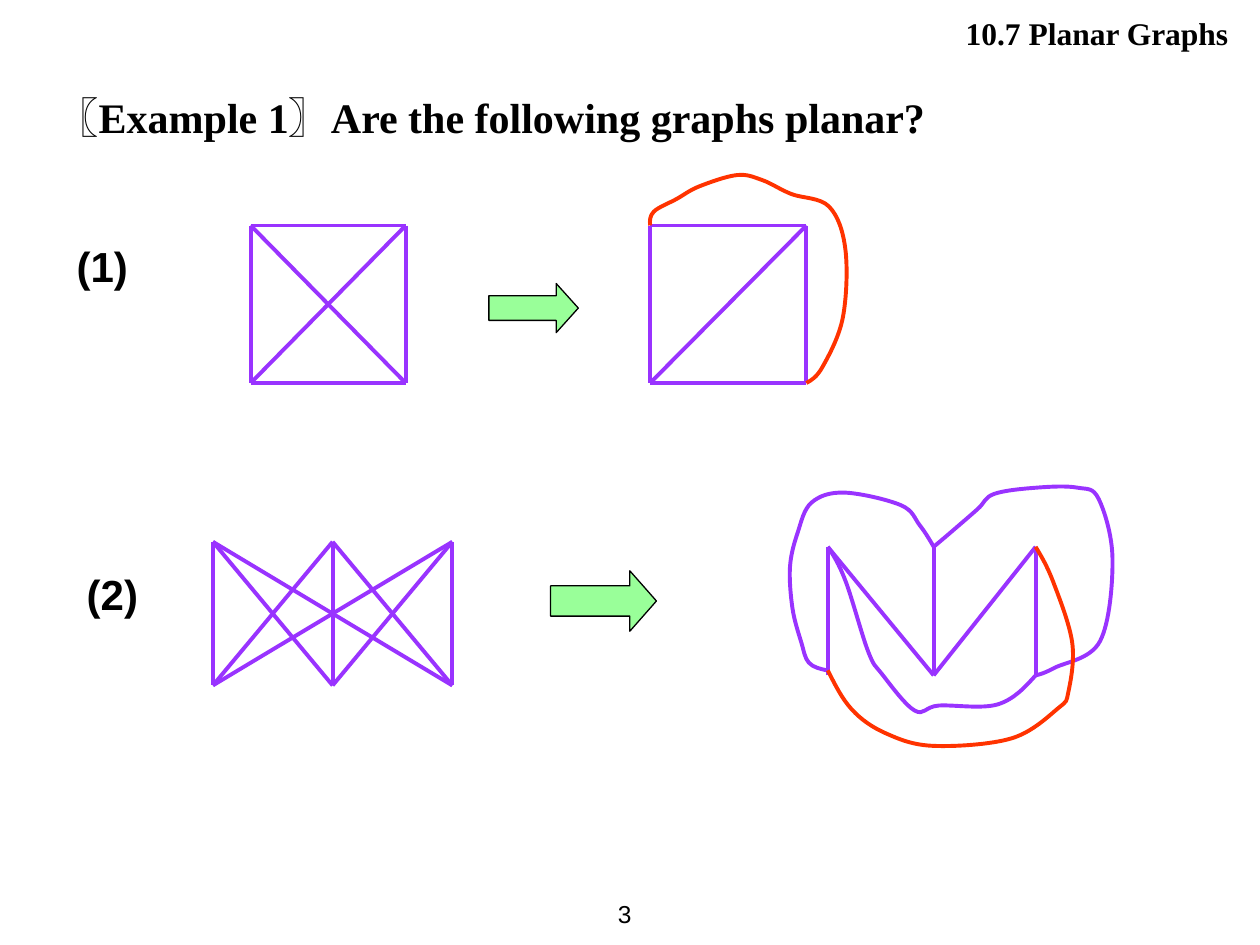
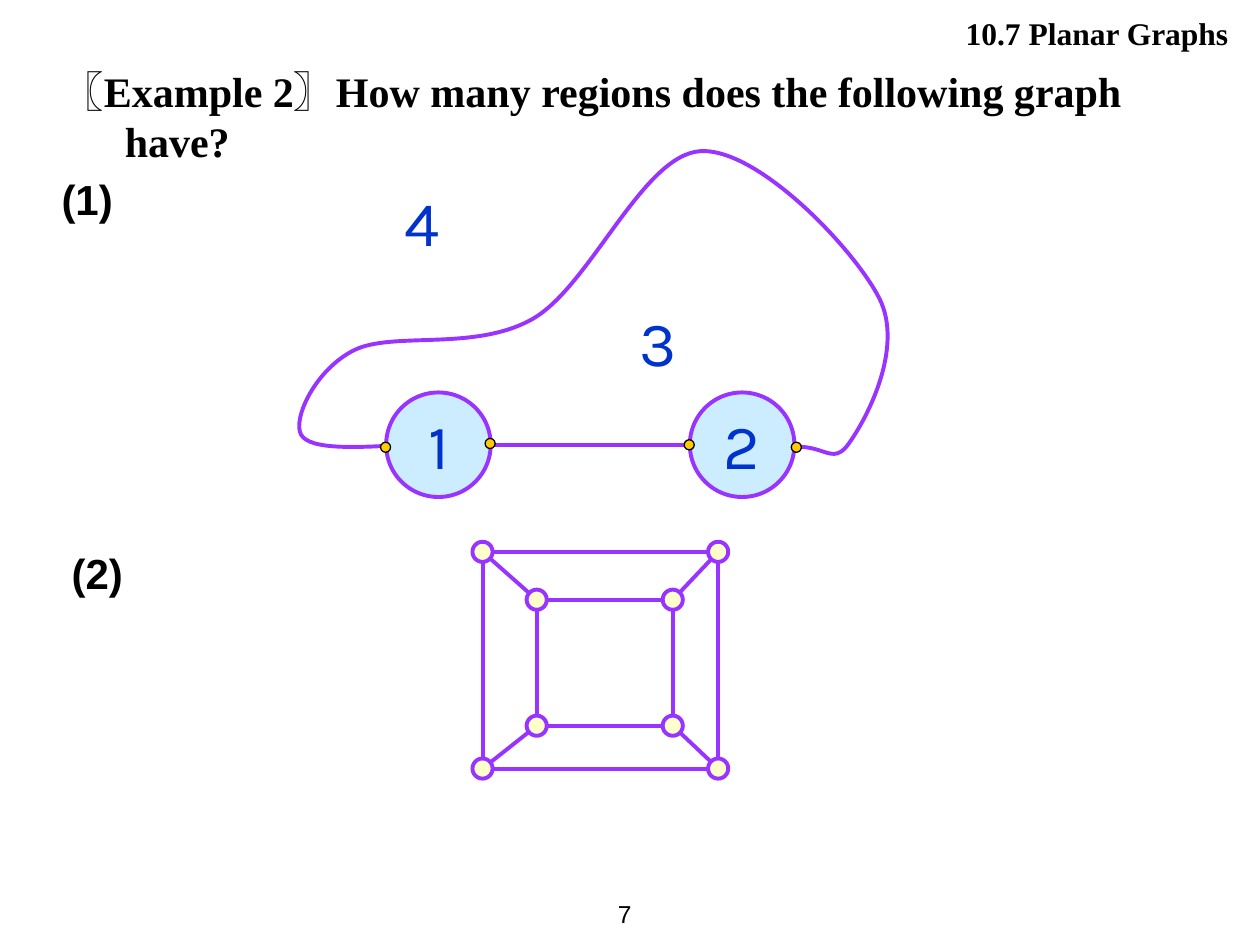
from dataclasses import dataclass
from itertools import combinations, pairwise, product
from typing import Any

from lxml import etree
from pptx import Presentation
from pptx.dml.color import RGBColor
from pptx.enum.shapes import MSO_CONNECTOR, MSO_SHAPE
from pptx.enum.text import MSO_ANCHOR, MSO_AUTO_SIZE, PP_ALIGN
from pptx.oxml.ns import qn
from pptx.util import Inches, Pt

STRAIGHT = MSO_CONNECTOR.STRAIGHT
OVAL, RIGHT_ARROW = MSO_SHAPE.OVAL, MSO_SHAPE.RIGHT_ARROW
TOP, MIDDLE = MSO_ANCHOR.TOP, MSO_ANCHOR.MIDDLE
LEFT, CENTER, RIGHT = PP_ALIGN.LEFT, PP_ALIGN.CENTER, PP_ALIGN.RIGHT
NO_AUTOFIT = MSO_AUTO_SIZE.NONE

BLACK = RGBColor(0x00, 0x00, 0x00)
EDGE_PURPLE = RGBColor(0x99, 0x33, 0xFF)
REROUTED_RED = RGBColor(0xFF, 0x33, 0x00)
ARROW_GREEN = RGBColor(0x99, 0xFF, 0x99)
WHEEL_BLUE = RGBColor(0xCC, 0xEC, 0xFF)
REGION_BLUE = RGBColor(0x00, 0x33, 0xCC)
JOINT_GOLD = RGBColor(0xFF, 0xCC, 0x00)
NODE_CREAM = RGBColor(0xFF, 0xFF, 0xCC)

EDGE_WIDTH, OUTLINE_WIDTH = 2.25, 0.75
SERIF, SANS, REGION_FONT = "Times New Roman", "Arial", "Karla"

HEADING_FONT = dict(name=SERIF, size=Pt(24), bold=True)
BRACKET_FONT = dict(HEADING_FONT, name=SANS)
SECTION_FONT = dict(name=SERIF, size=Pt(18), bold=True)
NUMBER_FONT = dict(name=SANS, size=Pt(14), bold=False)
REGION_NUMBER_FONT = dict(name=REGION_FONT, size=Pt(36), bold=False)

Point = tuple[float, float]


@dataclass(frozen=True)
class Box:
    left: float
    top: float
    width: float
    height: float

    def lengths(self) -> list[int]:
        return [Inches(v) for v in (self.left, self.top, self.width, self.height)]


@dataclass(frozen=True)
class Curve:
    """A hand-drawn edge that runs smoothly through its waypoints."""
    waypoints: list[Point]
    color: RGBColor = EDGE_PURPLE
    end_handle: Point | None = None


@dataclass(frozen=True)
class Disc:
    center: Point
    diameter: float
    fill: RGBColor
    line: RGBColor = EDGE_PURPLE
    line_width: float = EDGE_WIDTH
    label: str = ""


@dataclass(frozen=True)
class Label:
    text: str
    box: Box
    font: dict[str, Any]
    color: RGBColor = BLACK
    align: Any = LEFT
    anchor: Any = TOP
    right_inset: float = 0.1


def midpoint(a: Point, b: Point) -> Point:
    return (a[0] + b[0]) / 2, (a[1] + b[1]) / 2


def bezier_points(curve: Curve) -> list[Point]:
    """Give each inner waypoint two handles along the line joining its neighbours.

    A handle is one sixth of that line long (a Catmull-Rom spline). An end of the
    curve has its handle halfway to the nearest handle, unless one is given.
    """
    ways = curve.waypoints
    handles = []
    for before, (x, y), after in zip(ways, ways[1:], ways[2:]):
        dx, dy = (after[0] - before[0]) / 6, (after[1] - before[1]) / 6
        handles.append(((x - dx, y - dy), (x + dx, y + dy)))
    points = [ways[0], midpoint(ways[0], handles[0][0])]
    for waypoint, (arriving, leaving) in zip(ways[1:], handles):
        points += [arriving, waypoint, leaving]
    last_handle = curve.end_handle or midpoint(handles[-1][1], ways[-1])
    return points + [last_handle, ways[-1]]


def write(paragraph, text: str, font: dict[str, Any], color: RGBColor) -> None:
    run = paragraph.add_run()
    run.text = text
    for attribute, value in font.items():
        setattr(run.font, attribute, value)
    run.font.color.rgb = color


def add_label(slide, label: Label) -> None:
    frame = slide.shapes.add_textbox(*label.box.lengths()).text_frame
    settings = dict(word_wrap=True, vertical_anchor=label.anchor,
                    margin_right=Inches(label.right_inset))
    for attribute, value in settings.items():
        setattr(frame, attribute, value)
    frame.paragraphs[0].alignment = label.align
    write(frame.paragraphs[0], label.text, label.font, label.color)


def add_edge(slide, start: Point, end: Point) -> None:
    edge = slide.shapes.add_connector(STRAIGHT, *(Inches(v) for v in start + end))
    edge.line.color.rgb = EDGE_PURPLE
    edge.line.width = Pt(EDGE_WIDTH)
    etree.SubElement(edge.element.spPr, qn("a:effectLst"))


def add_curve(slide, curve: Curve) -> None:
    """Draw the control polygon, then turn each three of its sides into one Bézier."""
    points = [(Inches(x), Inches(y)) for x, y in bezier_points(curve)]
    builder = slide.shapes.build_freeform(*points[0])
    builder.add_line_segments(points[1:], close=False)
    shape = builder.convert_to_shape()
    sides = list(shape.element.iter(qn("a:lnTo")))
    for trio in zip(sides[::3], sides[1::3], sides[2::3]):
        bezier = etree.Element(qn("a:cubicBezTo"))
        trio[0].addprevious(bezier)
        for side in trio:
            bezier.append(side[0])
            side.getparent().remove(side)
    shape.fill.background()
    shape.line.color.rgb = curve.color
    shape.line.width = Pt(EDGE_WIDTH)
    shape.shadow.inherit = False


def add_filled(slide, kind, box: Box, fill: RGBColor, line: RGBColor, width: float):
    shape = slide.shapes.add_shape(kind, *box.lengths())
    shape.shadow.inherit = False
    shape.fill.solid()
    shape.fill.fore_color.rgb = fill
    shape.line.color.rgb = line
    shape.line.width = Pt(width)
    return shape


def add_disc(slide, disc: Disc) -> None:
    x, y = (v - disc.diameter / 2 for v in disc.center)
    box = Box(x, y, disc.diameter, disc.diameter)
    shape = add_filled(slide, OVAL, box, disc.fill, disc.line, disc.line_width)
    if disc.label:
        frame = shape.text_frame
        frame.word_wrap = False
        frame.vertical_anchor = MIDDLE
        frame.paragraphs[0].alignment = CENTER
        write(frame.paragraphs[0], disc.label, REGION_NUMBER_FONT, REGION_BLUE)


def add_arrow(slide, box: Box, head: float) -> None:
    arrow = add_filled(slide, RIGHT_ARROW, box, ARROW_GREEN, BLACK, OUTLINE_WIDTH)
    arrow.adjustments[1] = head


def add_example_slide(deck, heading: str, heading_box: Box, number: str,
                      parts: tuple[Point, Point]):
    """Add a slide with its heading, section name, number and (1), (2) part labels."""
    slide = deck.slides.add_slide(deck.slide_layouts[5])
    title = slide.shapes.title
    title.left, title.top, title.width, title.height = heading_box.lengths()
    frame = title.text_frame
    settings = dict(word_wrap=True, auto_size=NO_AUTOFIT, vertical_anchor=TOP)
    for attribute, value in settings.items():
        setattr(frame, attribute, value)
    paragraph = frame.paragraphs[0]
    paragraph.alignment = LEFT
    properties = paragraph._p.get_or_add_pPr()
    properties.set("marL", str(Inches(0.5)))
    properties.set("indent", str(Inches(-0.5)))
    write(paragraph, "〖", BRACKET_FONT, BLACK)
    write(paragraph, heading, HEADING_FONT, BLACK)

    add_label(slide, Label("10.7 Planar Graphs", Box(3.98, 0.06, 5.94, 0.4),
                           SECTION_FONT, align=RIGHT, right_inset=0.17))
    add_label(slide, Label(number, Box(4.44, 7, 0.67, 0.5), NUMBER_FONT,
                           align=RIGHT, anchor=MIDDLE))
    for index, (left, top) in enumerate(parts, start=1):
        add_label(slide, Label(f"({index})", Box(left, top, 1, 0.5), BRACKET_FONT))
    return slide


def corners(left: float, top: float, right: float, bottom: float) -> list[Point]:
    """List the corners clockwise from the top left."""
    return [(left, top), (right, top), (right, bottom), (left, bottom)]


def add_k4(slide) -> None:
    """Draw K4 with crossing diagonals, then with one diagonal led around the outside."""
    for start, end in combinations(corners(1.99, 1.79, 3.22, 3.04), 2):
        add_edge(slide, start, end)
    add_arrow(slide, Box(3.88, 2.25, 0.71, 0.39), 0.45)
    square = corners(5.16, 1.79, 6.4, 3.04)
    rerouted = (square[0], square[2])
    for start, end in combinations(square, 2):
        if (start, end) != rerouted:
            add_edge(slide, start, end)
    over_top = [(5.19, 1.68), (5.37, 1.58), (5.55, 1.48), (5.85, 1.39),
                (6.05, 1.43), (6.28, 1.54), (6.58, 1.64)]
    down_right = [(6.71, 1.98), (6.69, 2.52), (6.53, 2.91)]
    add_curve(slide, Curve([rerouted[0], *over_top, *down_right, rerouted[1]],
                           REROUTED_RED))


def add_k33(slide) -> None:
    """Draw K3,3 in two rows, then redrawn so that a single crossing is left."""
    columns = [1.69 + 0.95 * i for i in range(3)]
    for upper, lower in product(columns, repeat=2):
        add_edge(slide, (upper, 4.3), (lower, 5.44))
    add_arrow(slide, Box(4.37, 4.53, 0.84, 0.48), 0.44)

    upper_left, upper_middle, upper_right = uppers = [(x, 4.34) for x in (6.57, 7.41, 8.22)]
    lower_left, lower_middle, lower_right = [(x, 5.36) for x, _ in uppers]
    zigzag = [lower_left, upper_left, lower_middle, upper_right, lower_right]
    for start, end in [*pairwise(zigzag), (upper_middle, lower_middle)]:
        add_edge(slide, start, end)

    under_middle = [(6.71, 4.61), (6.89, 5.17), (7, 5.35), (7.26, 5.64),
                    (7.45, 5.6), (7.92, 5.59)]
    around_right = [(7.54, 4.23), (7.76, 4.04), (7.89, 3.92), (8.23, 3.87), (8.55, 3.87),
                    (8.72, 3.96), (8.83, 4.44), (8.73, 5.09), (8.37, 5.3)]
    around_left = [(6.42, 5.26), (6.36, 5.1), (6.29, 4.83), (6.27, 4.5), (6.33, 4.23),
                   (6.44, 3.99), (6.7, 3.91), (7.15, 4.01), (7.3, 4.17)]
    below_all = [(6.76, 5.63), (7.03, 5.82), (7.41, 5.92), (8.03, 5.86), (8.4, 5.62),
                 (8.48, 5.49), (8.51, 5.1), (8.36, 4.62)]
    loops = [
        Curve([upper_left, *under_middle, lower_right]),
        Curve([upper_middle, *around_right, lower_right]),
        Curve([(6.56, 5.32), *around_left, upper_middle]),
        Curve([(6.57, 5.32), *below_all, upper_right], REROUTED_RED),
    ]
    for loop in loops:
        add_curve(slide, loop)


def add_car(slide) -> None:
    """Draw the car-shaped graph with its four numbered regions."""
    hood = [(3.23, 3.53), (2.39, 3.45), (2.81, 2.78), (4.23, 2.53)]
    roof, trunk = [(5.56, 1.2), (6.98, 2.37)], [(6.73, 3.53), (6.06, 3.62)]
    add_curve(slide, Curve(hood + roof + trunk, end_handle=(6.5, 3.41)))
    axle = 3.53
    add_edge(slide, (3.73, axle), (5.56, axle))
    for label, x in (("1", 3.48), ("2", 5.89)):
        add_disc(slide, Disc((x, axle), 0.83, WHEEL_BLUE, label=label))
    for joint in ((3.06, 3.55), (3.89, 3.52), (5.47, 3.53), (6.32, 3.55)):
        add_disc(slide, Disc(joint, 0.08, JOINT_GOLD, BLACK, OUTLINE_WIDTH))
    for region, left, top in (("3", 4.98, 2.36), ("4", 3.11, 1.41)):
        add_label(slide, Label(region, Box(left, top, 0.55, 0.7),
                               REGION_NUMBER_FONT, REGION_BLUE))


def add_cube(slide) -> None:
    """Draw the cube graph: two rings of four nodes, joined corner to corner."""
    outer = corners(3.83, 4.38, 5.7, 6.1)
    inner = corners(4.26, 4.76, 5.34, 5.76)
    rings = [*pairwise(outer + outer[:1]), *pairwise(inner + inner[:1])]
    for start, end in [*rings, *zip(outer, inner)]:
        add_edge(slide, start, end)
    for node in outer + inner:
        add_disc(slide, Disc(node, 0.16, NODE_CREAM))


def main() -> None:
    deck = Presentation()
    deck.slide_width, deck.slide_height = Inches(10), Inches(7.5)
    planarity = add_example_slide(
        deck, "Example 1〗Are the following graphs planar?",
        Box(0.35, 0.68, 9.14, 0.5), "3", ((0.51, 1.86), (0.59, 4.46)))
    add_k4(planarity)
    add_k33(planarity)
    regions = add_example_slide(
        deck, "Example 2〗How many regions does the following graph have?",
        Box(0.39, 0.47, 9.14, 0.9), "7", ((0.39, 1.33), (0.47, 4.3)))
    add_car(regions)
    add_cube(regions)
    deck.save("out.pptx")


if __name__ == "__main__":
    main()
